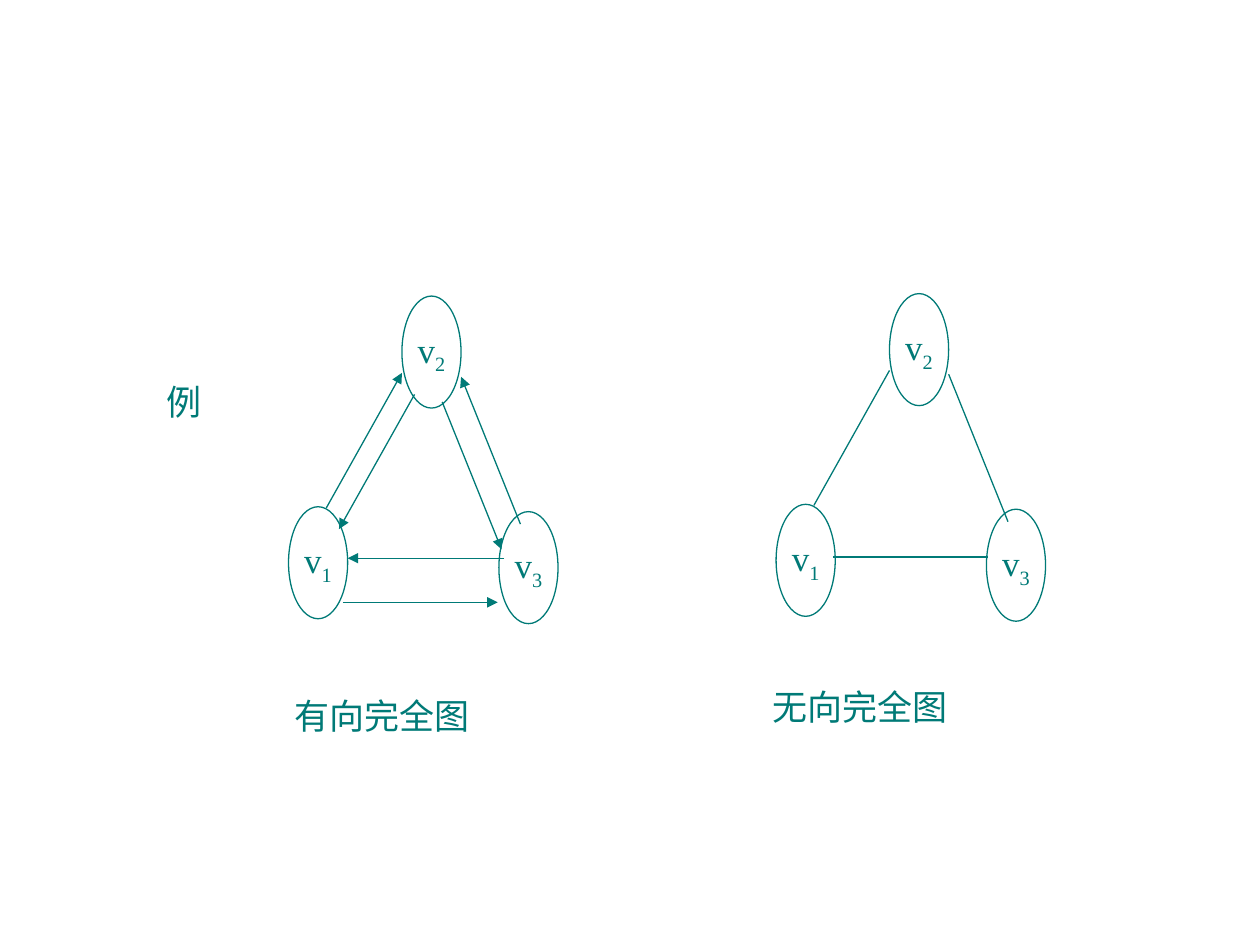
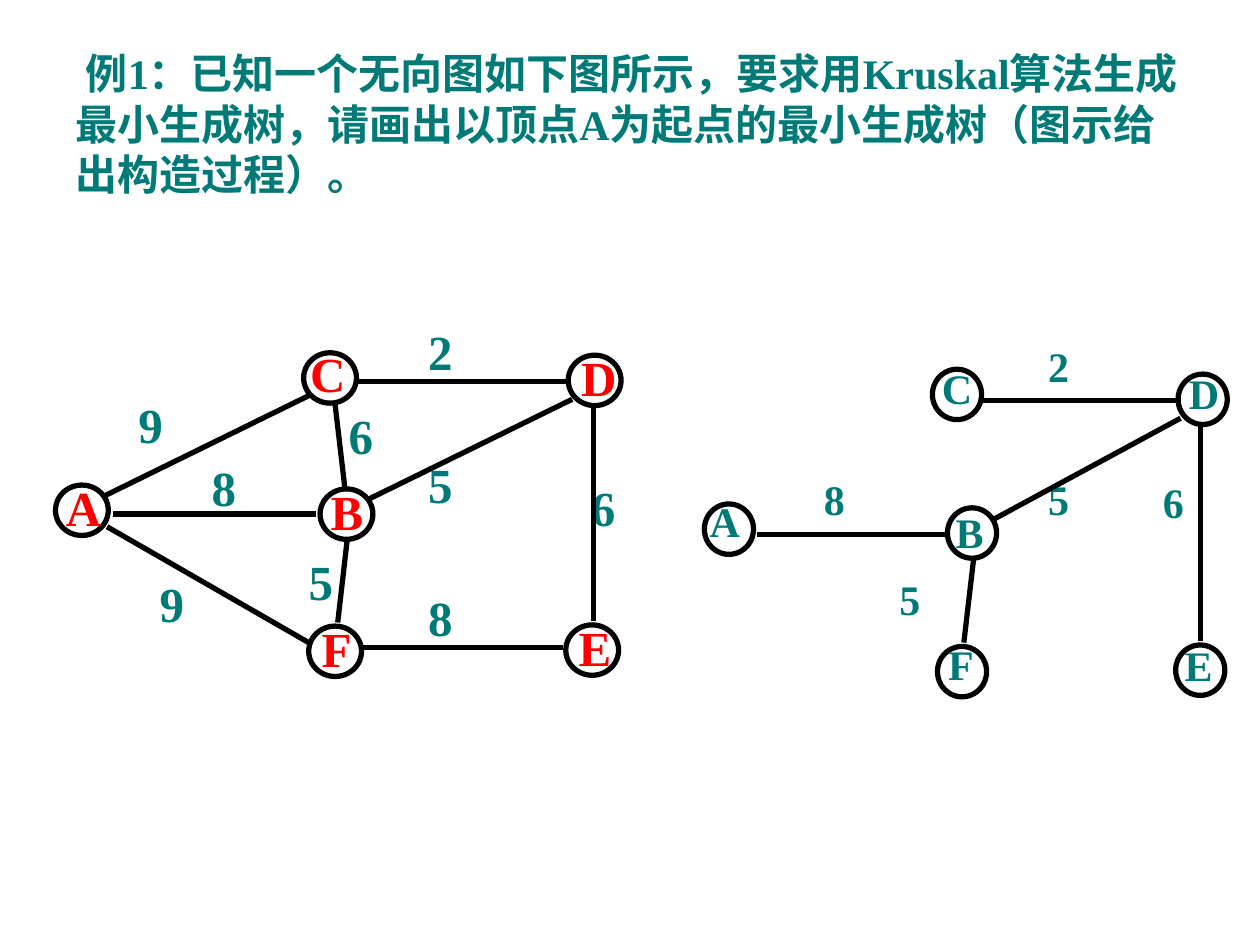
from lxml import etree
from pptx import Presentation
from pptx.dml.color import RGBColor
from pptx.enum import shapes, text
from pptx.oxml import ns
from pptx.util import Pt

TEAL, RED, BLACK, WHITE = "007A77", "FF0000", "000000", "FFFFFF"
FONT = "Times New Roman"

# ---- Content: complete graphs (offsets are from the top left of v2) ----
EXAMPLE = ("例", 87.8, 213.8, 34.6)
VERTEX_SIZE = (33.8, 64)
VERTICES = {"1": (-64.8, 120.4), "2": (0, 0), "3": (55.4, 123.2)}
SIDE_12 = (-43.2, 121, 0, 43.9)
SIDE_32 = (67.7, 130.3, 33.8, 46.1)
COMPLETE_GRAPHS = [
    {"caption": ("有向完全图", 161.3, 393.1, 114.5), "origin": (229.7, 169.2),
     "arrows": True,
     "edges": [(-33.8, 175, 54.7, 175), (58.3, 149.8, -31, 149.8), SIDE_12,
               (7.2, 56.2, -36, 133.2), (23, 60.5, 56.9, 144.7), SIDE_32]},
    {"caption": ("无向完全图", 434.2, 388.1, 114.5), "origin": (508.3, 167.8),
     "arrows": False,
     "edges": [(-32.4, 150.5, 56.2, 150.5), SIDE_12, SIDE_32]},
]

# ---- Content: Kruskal example ----
QUESTION = ("例1：已知一个无向图如下图所示，要求用Kruskal算法生成最小生成树，"
            "请画出以顶点A为起点的最小生成树（图示给出构造过程）。")
# nodes: left, top, then the shift of the letter box from there
# edges: weight, label left and top, line from and to
WEIGHTED_GRAPHS = [
    {"letter_color": RED, "size": 28, "node_size": (30.2, 28.8),
     "nodes": {"A": (31.7, 277.2, -1.1, -7.9), "B": (182.9, 279.4, -1.1, -7.9),
               "C": (173.5, 201.6, -3.3, -8.6), "D": (324.7, 203, 0.3, -7.9),
               "E": (323.3, 357.1, 0.3, -7.9), "F": (176.4, 357.8, 0.3, -7.9)},
     "edges": [("9", 72, 221.8, (60.5, 283, 176.4, 226.1)),
               ("8", 113.8, 257.8, (64.8, 293.8, 180.7, 293.8)),
               ("9", 84.2, 324, (61.2, 301, 176.4, 367.2)),
               ("6", 192.2, 228.2, (191.5, 231.1, 197.3, 280.8)),
               ("2", 237.6, 180, (203.8, 218.2, 324.7, 218.2)),
               ("5", 237.6, 256.3, (211, 285.1, 326.9, 228.2)),
               ("5", 169.2, 311.8, (198.7, 306, 193, 355.7)),
               ("6", 330.5, 269.3, (339.1, 232.6, 339.1, 355)),
               ("8", 237.6, 331.9, (205.9, 370.1, 321.8, 370.1))]},
    {"letter_color": TEAL, "size": 24, "node_size": (28.1, 28.8),
     "nodes": {"A": (402.5, 288, -4.1, -8.6), "B": (541.4, 290.2, -2.4, -4.3),
               "C": (532.8, 211, -1.7, -7.2), "D": (673.2, 213.8, -1, -7.2),
               "E": (671.8, 368.6, -2, -6.5), "F": (535.7, 369.4, -1, -7.9)},
     "edges": [("8", 463.7, 267.1, (432.7, 305.3, 540, 305.3)),
               ("2", 591.8, 190.8, (560.9, 229, 673.2, 229)),
               ("5", 591.8, 267.1, (568.1, 296.6, 674.6, 239)),
               ("5", 506.9, 324, (556.6, 317.5, 550.8, 367.2)),
               ("6", 657.4, 268.6, (686.2, 243.4, 686.2, 366.5))]},
]
LABEL_SIZE = (40, 40)


# ---- Shared drawing helpers ----
def rgb(value):
    return RGBColor.from_string(value)


def add_run(paragraph, words, size, color=TEAL, bold=False):
    run = paragraph.add_run()
    run.text = words
    for name, value in {"name": FONT, "size": Pt(size), "bold": bold}.items():
        setattr(run.font, name, value)
    run.font.color.rgb = rgb(color)
    return run


def add_label(slide, words, left, top, width, height, size,
              color=TEAL, bold=False, wrap=True):
    frame = slide.shapes.add_textbox(*map(Pt, (left, top, width, height))).text_frame
    frame.word_wrap = wrap
    add_run(frame.paragraphs[0], words, size, color, bold)
    return frame


def add_line(slide, ends, color, weight, arrow=False):
    line = slide.shapes.add_connector(shapes.MSO_CONNECTOR.STRAIGHT, *map(Pt, ends))
    line.line.color.rgb = rgb(color)
    line.line.width = Pt(weight)
    if arrow:
        etree.SubElement(line.line._get_or_add_ln(), ns.qn("a:tailEnd"), type="triangle")
    etree.SubElement(line._element.spPr, ns.qn("a:effectLst"))


def add_node(slide, kind, left, top, size, color, weight, fill=None):
    node = slide.shapes.add_shape(kind, *map(Pt, (left, top, *size)))
    node.shadow.inherit = False
    if fill:
        node.fill.solid()
        node.fill.fore_color.rgb = rgb(fill)
    else:
        node.fill.background()
    node.line.color.rgb = rgb(color)
    node.line.width = Pt(weight)
    return node


# ---- Slide 1: directed and undirected complete graphs ----
def draw_complete_graph(slide, graph):
    x, y = graph["origin"]
    for number, (dx, dy) in VERTICES.items():
        vertex = add_node(slide, shapes.MSO_SHAPE.OVAL, x + dx, y + dy,
                          VERTEX_SIZE, TEAL, 0.75)
        frame = vertex.text_frame
        frame.word_wrap = False
        frame.vertical_anchor = text.MSO_ANCHOR.MIDDLE
        name = frame.paragraphs[0]
        name.alignment = text.PP_ALIGN.CENTER
        add_run(name, "v", 20)
        subscript = add_run(name, number, 20)
        subscript._r.get_or_add_rPr().set("baseline", "-25000")
    for x1, y1, x2, y2 in graph["edges"]:
        add_line(slide, (x + x1, y + y1, x + x2, y + y2), TEAL, 0.75, graph["arrows"])
    add_label(slide, *graph["caption"], 31.7, 20, wrap=False)


# ---- Slide 2: weighted graph and its spanning tree ----
def draw_weighted_graph(slide, graph):
    size = graph["size"]
    for weight, left, top, ends in graph["edges"]:
        add_label(slide, weight, left, top, *LABEL_SIZE, size, bold=True)
        add_line(slide, ends, BLACK, 3)
    for letter, (left, top, dx, dy) in graph["nodes"].items():
        add_node(slide, shapes.MSO_SHAPE.FLOWCHART_CONNECTOR, left, top,
                 graph["node_size"], BLACK, 3, WHITE)
        add_label(slide, letter, left + dx, top + dy, *LABEL_SIZE, size,
                  graph["letter_color"], bold=True)


def main():
    deck = Presentation()
    deck.slide_width, deck.slide_height = Pt(720), Pt(540)
    complete, kruskal = (deck.slides.add_slide(deck.slide_layouts[6]) for _ in range(2))

    example = add_label(complete, *EXAMPLE, 31.7, 20, wrap=False)
    example.vertical_anchor = text.MSO_ANCHOR.MIDDLE
    example.paragraphs[0].alignment = text.PP_ALIGN.CENTER
    for graph in COMPLETE_GRAPHS:
        draw_complete_graph(complete, graph)

    question = add_label(kruskal, QUESTION, 36, 23.8, 648, 324, 24, bold=True)
    question.paragraphs[0]._p.get_or_add_pPr().set("indent", str(Pt(6)))
    for graph in WEIGHTED_GRAPHS:
        draw_weighted_graph(kruskal, graph)

    deck.save("out.pptx")


if __name__ == "__main__":
    main()
